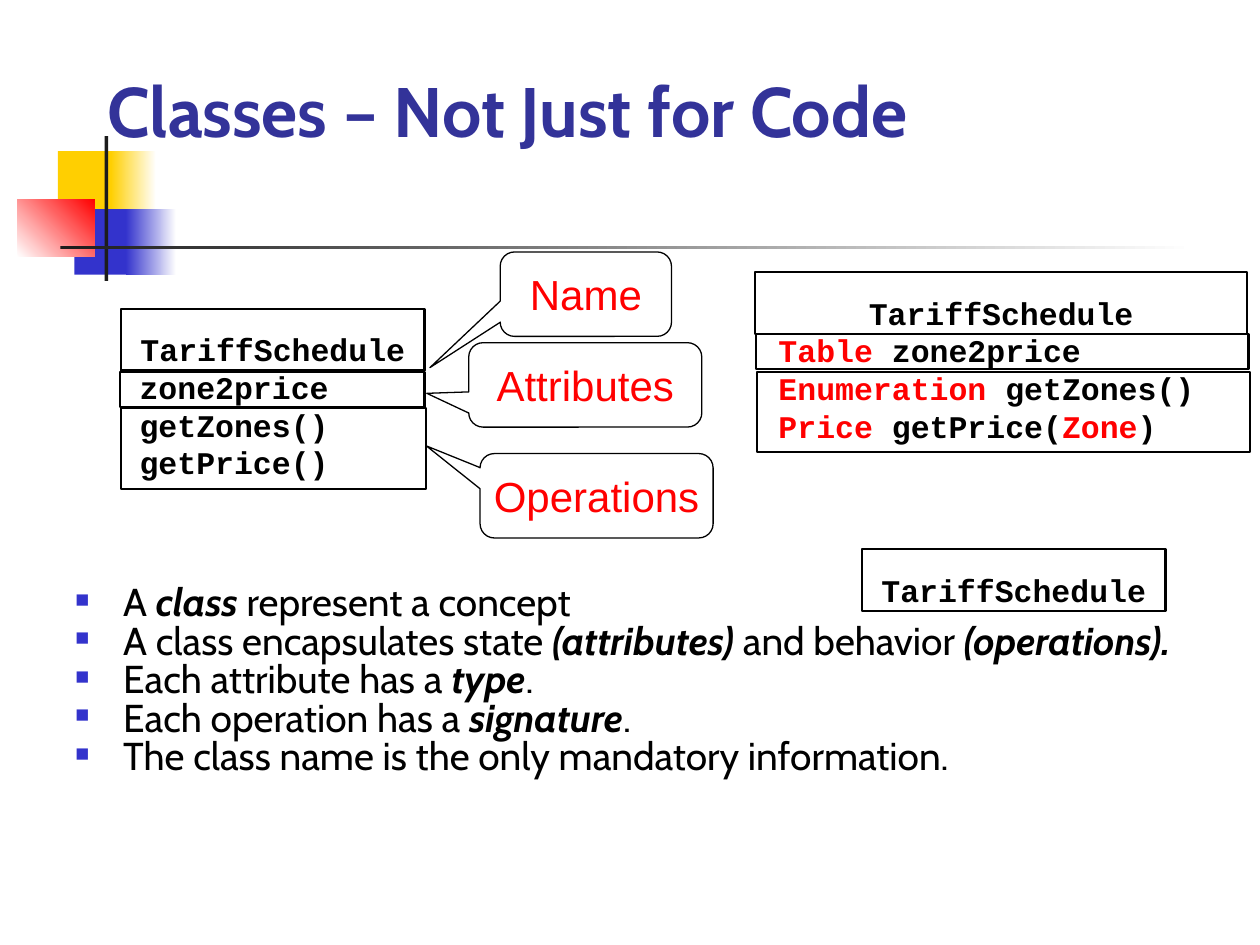
from lxml import etree
from pptx import Presentation
from pptx import util as u
from pptx.dml.color import RGBColor
from pptx.enum import shapes, text
from pptx.oxml.ns import qn

COLORS = {
    "white": "FFFFFF", "black": "000000", "ink": "1C1C1C", "yellow": "FFCF01",
    "blue": "3333CC", "red": "FF0000", "title": "333399",
}
TITLE = "Classes – Not Just for Code"
CLASS_NAME = "TariffSchedule"

DECORATIONS = [
    ((0.46, 1.2, 0.48, 0.52), ("yellow",), 0),
    ((0.88, 1.2, 0.36, 0.52), ("yellow", "white"), 0),
    ((0.59, 1.66, 0.46, 0.52), ("blue",), 0),
    ((1, 1.66, 0.4, 0.52), ("blue", "white"), 0),
    ((0.14, 1.58, 0.61, 0.46), ("white", "red"), 45),
    ((0.83, 1.08, 0.03, 1.15), ("ink",), 0),
    ((0.48, 1.95, 9, 0.03), ("ink", "white"), 0),
]

BULLETS = [
    [("A ", 0), ("class", 1), (" represent a concept", 0)],
    [("A class encapsulates state ", 0), ("(attributes)", 1),
     (" and behavior ", 0), ("(operations).", 1)],
    [("Each attribute has a ", 0), ("type", 1), (".", 0)],
    [("Each operation has a ", 0), ("signature", 1), (".", 0)],
    [("The class name is the only mandatory information.", 0)],
]

CLASS_DIAGRAMS = [
    {
        "compartments": [(0.96, 2.45, 2.41, 0.49), (0.95, 2.95, 2.42, 0.28),
                         (0.96, 3.24, 2.42, 0.64)],
        "members_at": (1.01, 2.87, 2.4, 1),
        "members": [[("zone2price", "black")], [("getZones()", "black")],
                    [("getPrice()", "black")]],
    },
    {
        "compartments": [(5.99, 2.16, 3.91, 0.49), (6, 2.65, 3.91, 0.28),
                         (6.01, 2.95, 3.91, 0.64)],
        "members_at": (6.08, 2.58, 3.89, 1),
        "members": [[("Table", "red"), (" zone2price", "black")],
                    [("Enumeration", "red"), (" getZones()", "black")],
                    [("Price", "red"), (" getPrice(", "black"),
                     ("Zone", "red"), (")", "black")]],
    },
    {"compartments": [(6.84, 4.36, 2.41, 0.49)], "members": []},
]

CALLOUTS = [
    ("Name", (3.97, 2, 1.36, 0.67), (-0.91, 0.87, 0.17)),
    ("Attributes", (3.72, 2.72, 1.85, 0.67), (-0.68, 0.1, 0.17)),
    ("Operations", (3.81, 3.6, 1.85, 0.67), (-0.73, -0.59, 0.17)),
]

TITLE_FONT = {"name": "Cabin", "size": u.Pt(40), "bold": True}
BULLET_FONT = {"name": "Cabin", "size": u.Pt(22.2)}
CODE_FONT = {"name": "Courier New", "size": u.Pt(18), "bold": True}
CALLOUT_FONT = {"name": "Arial", "size": u.Pt(24)}
BULLET_FORMAT = {"line_spacing": 0.6, "space_before": u.Pt(6)}
CODE_FORMAT = {"line_spacing": u.Pt(21.6)}
CENTERED = {"alignment": text.PP_ALIGN.CENTER}
NO_MARGINS = dict.fromkeys(
    ("margin_left", "margin_top", "margin_right", "margin_bottom"), 0)


def inches(box):
    return [u.Inches(value) for value in box]


def rgb(color):
    return RGBColor.from_string(COLORS[color])


def apply(target, values):
    for name, value in values.items():
        setattr(target, name, value)


def write(paragraph, runs, font, paragraph_format):
    apply(paragraph, paragraph_format)
    for words, color, extra in runs:
        run = paragraph.add_run()
        run.text = words
        apply(run.font, {**font, **extra})
        run.font.color.rgb = rgb(color)


def write_lines(frame, lines, font, paragraph_format):
    for index, runs in enumerate(lines):
        paragraph = frame.add_paragraph() if index else frame.paragraphs[0]
        write(paragraph, runs, font, paragraph_format)


def add_shape(parent, kind, box, fills=(), angle=0, line_width=None):
    shape = parent.add_shape(kind, *inches(box))
    shape.shadow.inherit = False
    if len(fills) == 2:
        shape.fill.gradient()
        shape.fill.gradient_angle = angle
        for stop, color in zip(shape.fill.gradient_stops, fills):
            stop.color.rgb = rgb(color)
    elif fills:
        shape.fill.solid()
        shape.fill.fore_color.rgb = rgb(fills[0])
    else:
        shape.fill.background()
    if line_width:
        shape.line.width = u.Pt(line_width)
        shape.line.color.rgb = rgb("black")
    else:
        shape.line.fill.background()
    return shape


def add_text(parent, box, wrap=True):
    frame = parent.add_textbox(*inches(box)).text_frame
    frame.word_wrap = wrap
    return frame


def add_bullet(paragraph):
    properties = paragraph._p.get_or_add_pPr()
    properties.set("marL", str(u.Inches(0.38)))
    properties.set("indent", str(-u.Inches(0.38)))
    color = etree.SubElement(properties, qn("a:buClr"))
    etree.SubElement(color, qn("a:srgbClr"), val=COLORS["blue"])
    etree.SubElement(properties, qn("a:buSzPct"), val="60000")
    etree.SubElement(properties, qn("a:buFont"), typeface="Arial")
    etree.SubElement(properties, qn("a:buChar"), char="■")


def add_title(slide):
    title = slide.shapes.title
    title.element.getparent().append(title.element)
    apply(title, dict(zip(("left", "top", "width", "height"),
                          inches((0.75, 0, 8.5, 1.25)))))
    apply(title.text_frame, {
        "vertical_anchor": text.MSO_ANCHOR.BOTTOM, "word_wrap": True,
        "auto_size": text.MSO_AUTO_SIZE.NONE})
    write(title.text_frame.paragraphs[0], [(TITLE, "title", {})], TITLE_FONT,
          {"alignment": text.PP_ALIGN.LEFT})


def add_bullets(slide):
    frame = add_text(slide.shapes, (0.5, 4.67, 9, 1.83))
    lines = [[(words, "black", {"bold": bool(strong), "italic": bool(strong)})
              for words, strong in runs] for runs in BULLETS]
    write_lines(frame, lines, BULLET_FONT, BULLET_FORMAT)
    for paragraph in frame.paragraphs:
        add_bullet(paragraph)


def add_class_diagram(slide, diagram):
    group = slide.shapes.add_group_shape().shapes
    if diagram["members"]:
        frame = add_text(group, diagram["members_at"])
        lines = [[(words, color, {}) for words, color in runs]
                 for runs in diagram["members"]]
        write_lines(frame, lines, CODE_FONT, CODE_FORMAT)
    for box in diagram["compartments"]:
        add_shape(group, shapes.MSO_SHAPE.RECTANGLE, box, line_width=1.25)
    left, top, width, _ = diagram["compartments"][0]
    name_box = (left + (width - 2.1) / 2, top + 0.17, 2.1, 0.3)
    frame = add_text(group, name_box, wrap=False)
    apply(frame, NO_MARGINS)
    write(frame.paragraphs[0], [(CLASS_NAME, "black", {})], CODE_FONT,
          {**CODE_FORMAT, **CENTERED})


def add_callout(slide, label, box, adjustments):
    kind = shapes.MSO_SHAPE.ROUNDED_RECTANGULAR_CALLOUT
    callout = add_shape(slide.shapes, kind, box, ("white",), line_width=0.75)
    for index, value in enumerate(adjustments):
        callout.adjustments[index] = value
    frame = callout.text_frame
    apply(frame, {"word_wrap": False, "vertical_anchor": text.MSO_ANCHOR.MIDDLE})
    write(frame.paragraphs[0], [(label, "red", {})], CALLOUT_FONT, CENTERED)


def main():
    presentation = Presentation()
    apply(presentation, {"slide_width": u.Inches(10), "slide_height": u.Inches(7.5)})
    slide = presentation.slides.add_slide(presentation.slide_layouts[5])
    for box, fills, angle in DECORATIONS:
        add_shape(slide.shapes, shapes.MSO_SHAPE.RECTANGLE, box, fills, angle)
    add_title(slide)
    add_bullets(slide)
    *detailed, name_only = CLASS_DIAGRAMS
    for diagram in detailed:
        add_class_diagram(slide, diagram)
    for callout in CALLOUTS:
        add_callout(slide, *callout)
    add_class_diagram(slide, name_only)
    presentation.save("out.pptx")


if __name__ == "__main__":
    main()
